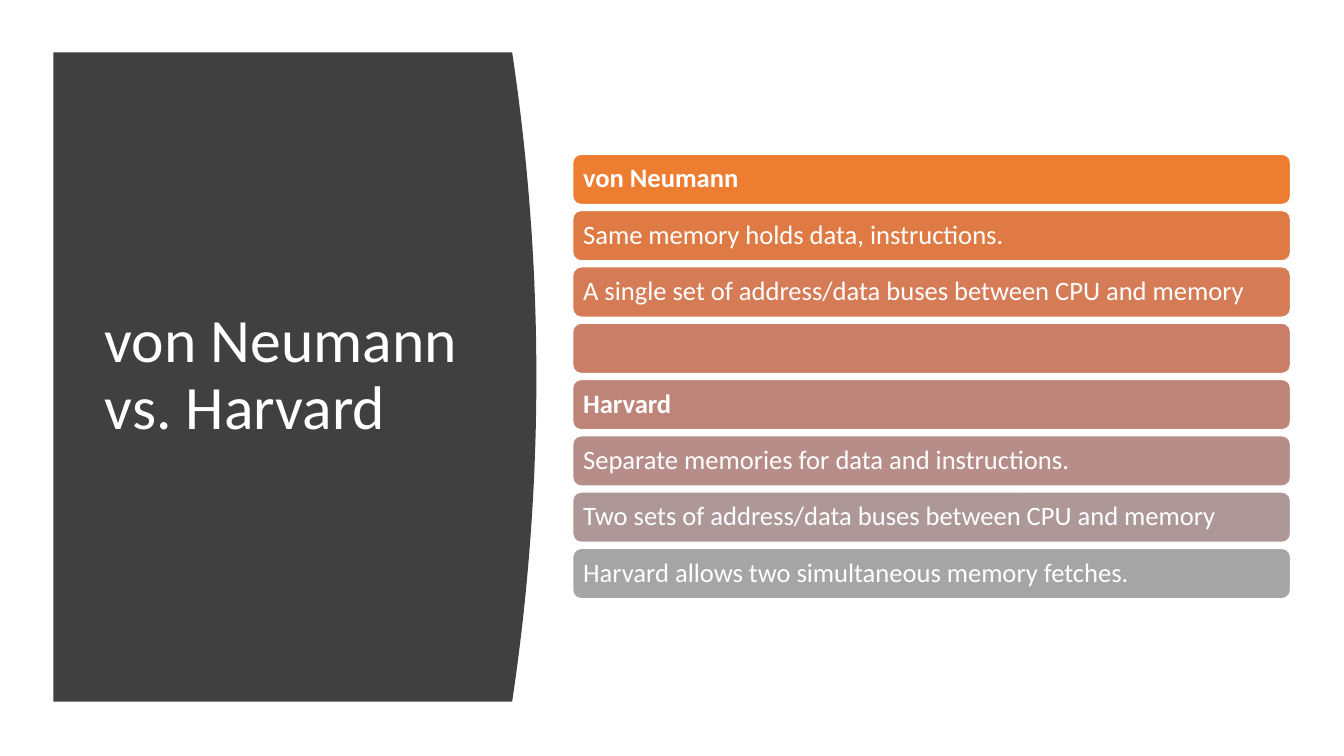
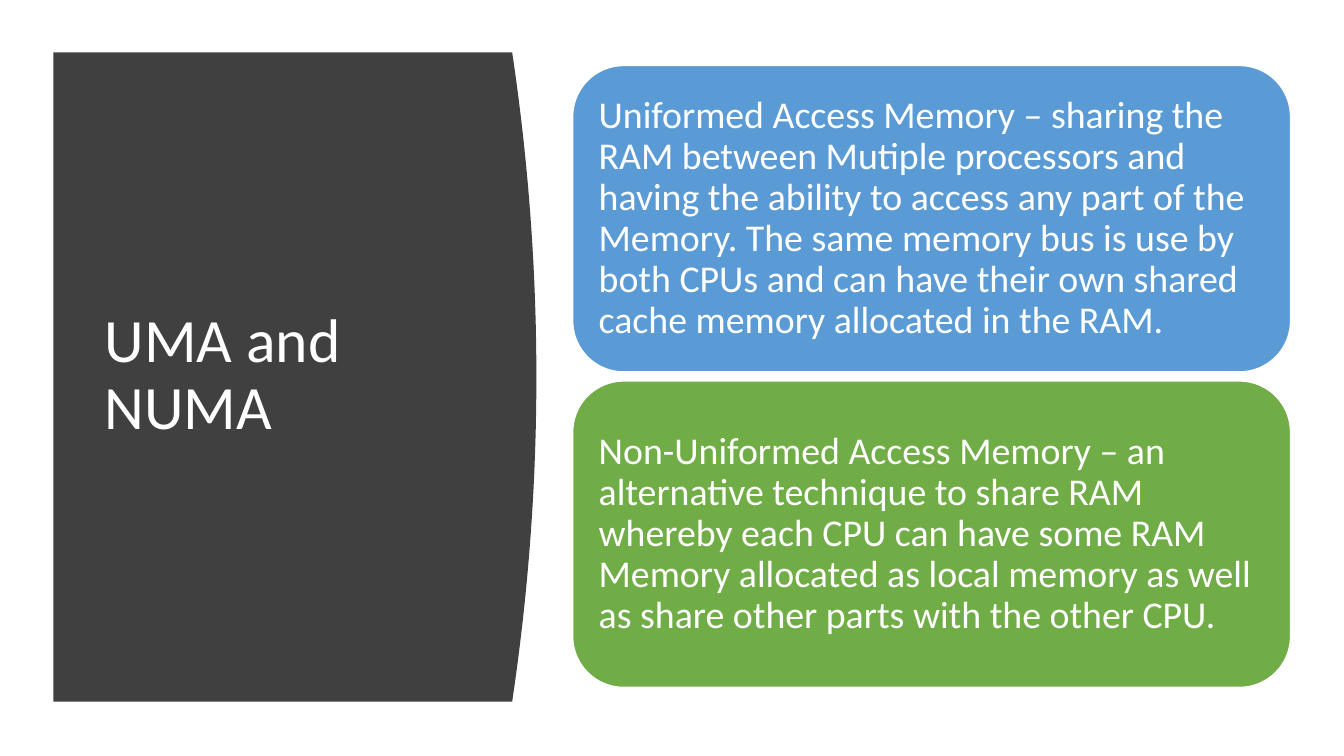
from colorsys import hls_to_rgb, rgb_to_hls
from dataclasses import dataclass
from typing import NamedTuple

from pptx import Presentation
from pptx.dml.color import RGBColor
from pptx.enum.shapes import MSO_SHAPE as Preset
from pptx.enum.text import MSO_ANCHOR as Anchor, PP_ALIGN as Align
from pptx.util import Emu, Pt

EMU_PER_PX = 9144


class Box(NamedTuple):
    """A rectangle in px."""
    left: int
    top: int
    width: int
    height: int


class Card(NamedTuple):
    """The wording and look of one rounded card."""
    text: str
    fill: RGBColor
    bold: bool = False


@dataclass(frozen=True)
class Theme:
    """The colours and type sizes shared by the slides."""
    font: str = "Calibri"
    panel: RGBColor = RGBColor(0x40, 0x40, 0x40)
    white: RGBColor = RGBColor(0xFF, 0xFF, 0xFF)
    orange: RGBColor = RGBColor(0xED, 0x7D, 0x31)
    grey: RGBColor = RGBColor(0xA5, 0xA5, 0xA5)
    blue: RGBColor = RGBColor(0x5B, 0x9B, 0xD5)
    green: RGBColor = RGBColor(0x70, 0xAD, 0x47)
    title_size: int = 44
    row_size: int = 19
    block_size: int = 27
    line_spacing: float = 0.9


THEME = Theme()
SLIDE = Box(0, 0, 1333, 750)
PANEL = Box(53, 52, 479, 644)
ROWS = Box(568, 153, 712, 441)
BLOCKS = Box(568, 65, 712, 617)

ARCHITECTURE_ROWS = [
    ("von Neumann", True),
    ("Same memory holds data, instructions.", False),
    ("A single set of address/data buses between CPU and memory", False),
    ("", False),
    ("Harvard", True),
    ("Separate memories for data and instructions.", False),
    ("Two sets of address/data buses between CPU and memory", False),
    ("Harvard allows two simultaneous memory fetches.", False),
]
MEMORY_CARDS = [
    Card("Uniformed Access Memory – sharing the RAM between Mutiple processors "
         "and having the ability to access any part of the Memory. The same "
         "memory bus is use by both CPUs and can have their own shared cache "
         "memory allocated in the RAM.", THEME.blue),
    Card("Non-Uniformed Access Memory – an alternative technique to share RAM "
         "whereby each CPU can have some RAM Memory allocated as local memory "
         "as well as share other parts with the other CPU.", THEME.green),
]


def px(length):
    """Turn px into EMU."""
    return Emu(round(length * EMU_PER_PX))


def blend(start, end, share):
    """Mix two colours by hue, lightness and saturation."""
    first, last = (rgb_to_hls(*(channel / 255 for channel in colour))
                   for colour in (start, end))
    mixed = (a + (b - a) * share for a, b in zip(first, last))
    return RGBColor(*(round(channel * 255) for channel in hls_to_rgb(*mixed)))


def write_text(shape, text, size, inset, bold=False):
    """Write white, left-aligned, vertically centred text."""
    frame = shape.text_frame
    frame.word_wrap = True
    frame.vertical_anchor = Anchor.MIDDLE
    frame.margin_left = frame.margin_right = px(inset)
    frame.margin_top = frame.margin_bottom = px(inset)
    frame.text = text
    paragraph = frame.paragraphs[0]
    paragraph.alignment = Align.LEFT
    paragraph.line_spacing = THEME.line_spacing
    for run in paragraph.runs:
        run.font.name = THEME.font
        run.font.size = Pt(size)
        run.font.bold = bold
        run.font.color.rgb = THEME.white


def add_title_panel(slide, box, title):
    """Draw the dark panel with its bowed right edge and the title."""
    bulge, steps = 24, 40
    edge = box.width - bulge
    points = [(0, 0)]
    for step in range(steps + 1):
        offset = 2 * step / steps - 1
        points.append((edge + bulge * (1 - offset ** 2),
                       box.height * step / steps))
    points.append((0, box.height))
    outline = [(px(box.left + x), px(box.top + y)) for x, y in points]
    builder = slide.shapes.build_freeform(*outline[0])
    builder.add_line_segments(outline[1:], close=True)
    panel = builder.convert_to_shape()
    panel.shadow.inherit = False
    panel.fill.solid()
    panel.fill.fore_color.rgb = THEME.panel
    panel.line.fill.background()

    text_box = slide.shapes.add_textbox(
        px(box.left + 41), px(box.top + 59), px(374), px(box.height - 120))
    write_text(text_box, title, THEME.title_size, 10)


def add_card_stack(slide, box, cards, card_height, size, inset):
    """Spread rounded cards evenly down the box."""
    pitch = (box.height - card_height) / (len(cards) - 1)
    for index, card in enumerate(cards):
        shape = slide.shapes.add_shape(
            Preset.ROUNDED_RECTANGLE, px(box.left),
            px(box.top + index * pitch), px(box.width), px(card_height))
        shape.shadow.inherit = False
        shape.fill.solid()
        shape.fill.fore_color.rgb = card.fill
        shape.line.color.rgb = THEME.white
        shape.line.width = Pt(1)
        write_text(shape, card.text, size, inset, card.bold)


def add_panel_slide(presentation, title):
    """Add a blank slide with the title panel."""
    slide = presentation.slides.add_slide(presentation.slide_layouts[6])
    add_title_panel(slide, PANEL, title)
    return slide


def add_architecture_slide(presentation):
    """Compare the two architectures in rows fading to grey."""
    slide = add_panel_slide(presentation, "von Neumann vs. Harvard")
    last = len(ARCHITECTURE_ROWS) - 1
    cards = [Card(text, blend(THEME.orange, THEME.grey, index / last), bold)
             for index, (text, bold) in enumerate(ARCHITECTURE_ROWS)]
    add_card_stack(slide, ROWS, cards, 50, THEME.row_size, 8)


def add_memory_slide(presentation):
    """Describe the two memory access models in large cards."""
    slide = add_panel_slide(presentation, "UMA and NUMA")
    add_card_stack(slide, BLOCKS, MEMORY_CARDS, 304, THEME.block_size, 11)


def main():
    """Build and save the presentation."""
    presentation = Presentation()
    presentation.slide_width = px(SLIDE.width)
    presentation.slide_height = px(SLIDE.height)
    add_architecture_slide(presentation)
    add_memory_slide(presentation)
    presentation.save("out.pptx")


if __name__ == "__main__":
    main()
